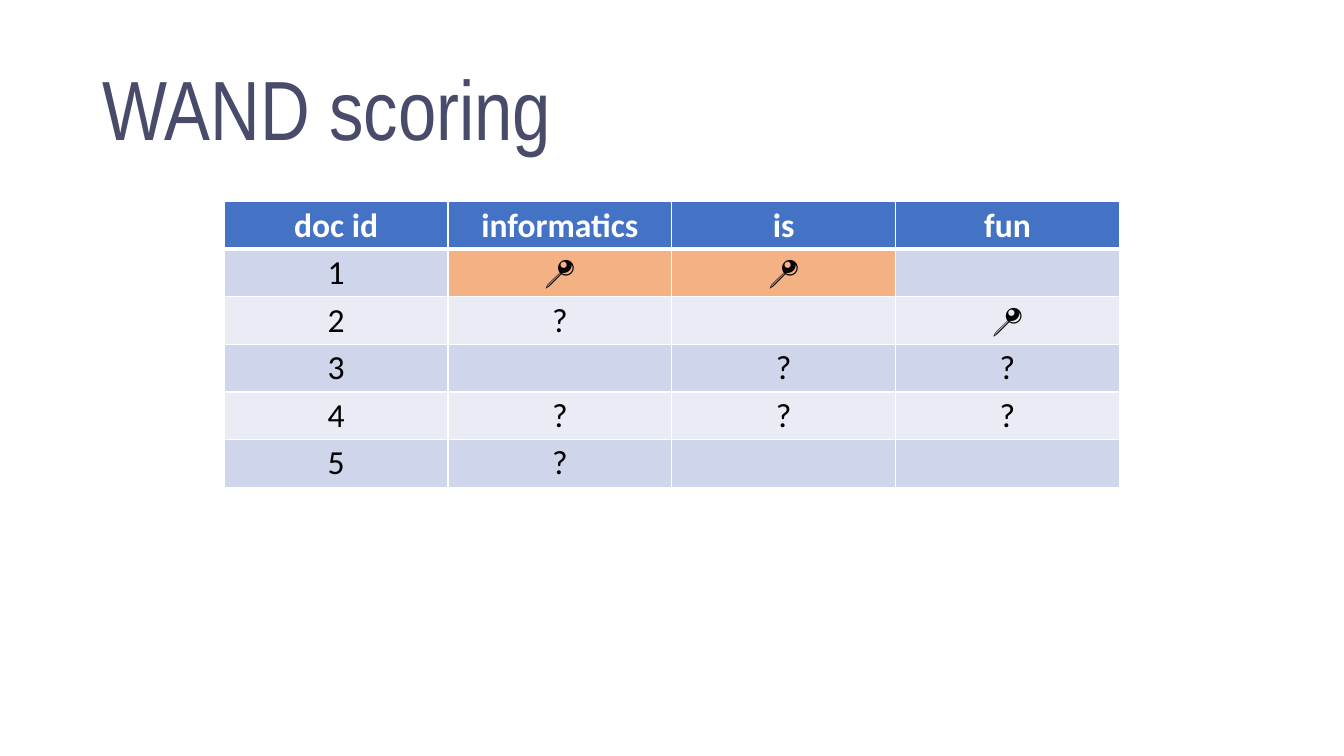
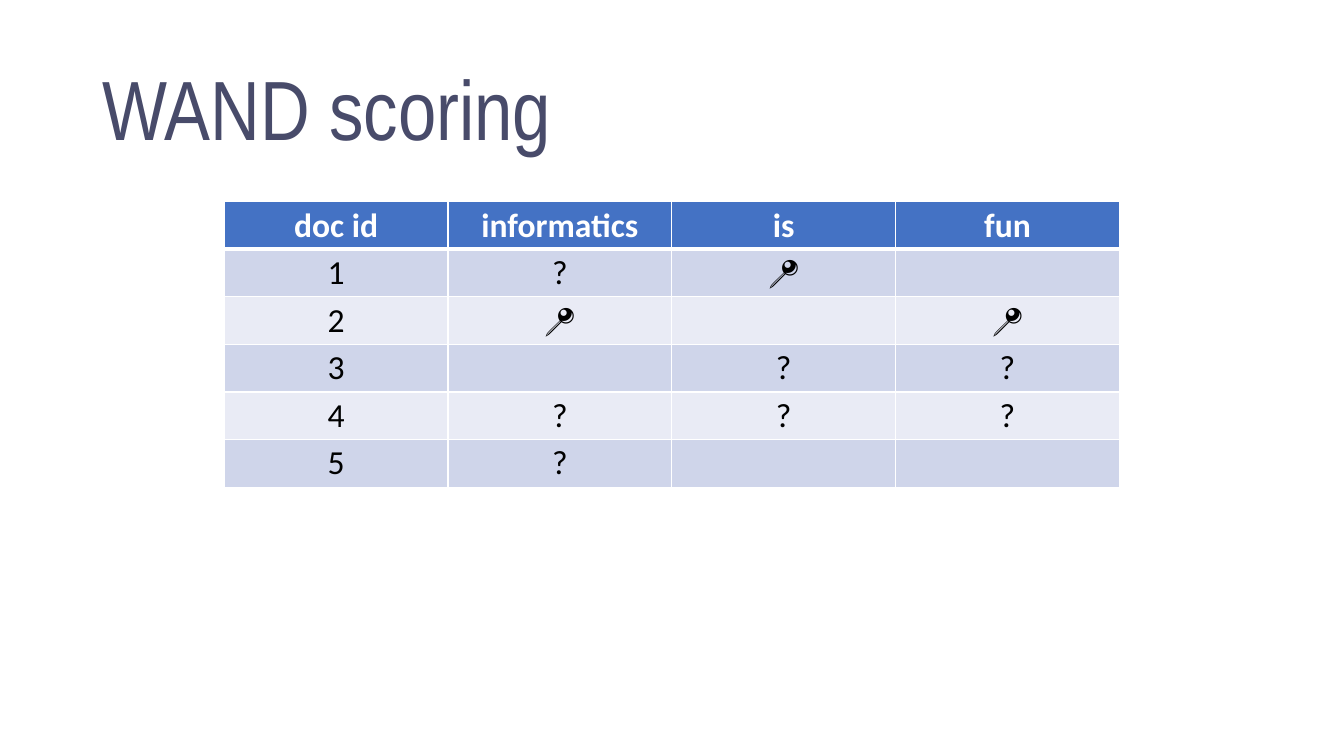
from dataclasses import dataclass

from lxml import etree
from pptx import Presentation
from pptx import util as u
from pptx.dml import color
from pptx.enum import text
from pptx.oxml import ns


@dataclass(frozen=True)
class Theme:
    title_ink: str = "484B6A"
    header_fill: str = "4472C4"
    header_ink: str = "FFFFFF"
    body_ink: str = "000000"
    odd_fill: str = "CFD5EA"
    even_fill: str = "E9EBF5"
    highlight: str = "F4B183"
    grid: str = "FFFFFF"
    grid_width: int = 1
    header_rule: int = 3
    title_font: str = "Arial Narrow"
    table_font: str = "Calibri"
    title_size: int = 60
    table_size: int = 24


THEME = Theme()
TITLE = "WAND scoring"
TERMS = ["doc id", "informatics", "is", "fun"]
COLUMN_WIDTH = 5.64
ROW_HEIGHT = 1.2

SCORED_FIRST = [
    ["1", "📍", "📍", ""],
    ["2", "?", "", "📍"],
]
ADVANCED = [
    ["1", "?", "📍", ""],
    ["2", "📍", "", "📍"],
]
UNSCORED = [
    ["3", "", "?", "?"],
    ["4", "?", "?", "?"],
    ["5", "?", "", ""],
]
STATES = [
    (SCORED_FIRST + UNSCORED, {(1, 1), (1, 2)}),
    (ADVANCED + UNSCORED, set()),
]


def apply_format(target, values):
    for name, value in values.items():
        setattr(target, name, value)


def write(paragraph, words, ink, **font_values):
    run = paragraph.add_run()
    run.text = words
    apply_format(run.font, font_values)
    run.font.color.rgb = color.RGBColor.from_string(ink)


def add_title(slide):
    title = slide.shapes.add_textbox(u.Cm(2.33), u.Cm(1.01), u.Cm(29.21), u.Cm(3.68))
    apply_format(title.text_frame, {
        "word_wrap": True,
        "vertical_anchor": text.MSO_ANCHOR.MIDDLE,
    })
    heading = title.text_frame.paragraphs[0]
    heading.line_spacing = 0.9
    write(heading, TITLE, THEME.title_ink,
          name=THEME.title_font, size=u.Pt(THEME.title_size))


def add_borders(cell, widths):
    properties = cell._tc.get_or_add_tcPr()
    for side, points in widths.items():
        line = etree.SubElement(properties, ns.qn(f"a:ln{side}"), w=str(u.Pt(points)))
        paint = etree.SubElement(line, ns.qn("a:solidFill"))
        etree.SubElement(paint, ns.qn("a:srgbClr"), val=THEME.grid)


def fill_cell(cell, words, row, highlighted):
    is_header = row == 0
    widths = dict.fromkeys("LRTB", THEME.grid_width)
    if row < 2:
        widths["B" if is_header else "T"] = THEME.header_rule
    add_borders(cell, widths)

    if is_header:
        fill = THEME.header_fill
    elif highlighted:
        fill = THEME.highlight
    else:
        fill = THEME.odd_fill if row % 2 else THEME.even_fill
    cell.fill.solid()
    cell.fill.fore_color.rgb = color.RGBColor.from_string(fill)

    apply_format(cell, {
        "vertical_anchor": text.MSO_ANCHOR.MIDDLE,
        "margin_left": u.Cm(0.18),
        "margin_right": u.Cm(0.18),
        "margin_top": u.Cm(0.09),
        "margin_bottom": u.Cm(0.09),
    })
    entry = cell.text_frame.paragraphs[0]
    entry.alignment = text.PP_ALIGN.CENTER
    if words:
        write(entry, words, THEME.header_ink if is_header else THEME.body_ink,
              name=THEME.table_font, size=u.Pt(THEME.table_size), bold=is_header)


def add_scores(slide, postings, highlights):
    rows = [TERMS] + postings
    scores = slide.shapes.add_table(
        len(rows), len(TERMS), u.Cm(5.65), u.Cm(5.08),
        u.Cm(COLUMN_WIDTH * len(TERMS)), u.Cm(ROW_HEIGHT * len(rows)),
    ).table
    for row, entries in enumerate(rows):
        for column, words in enumerate(entries):
            fill_cell(scores.cell(row, column), words, row, (row, column) in highlights)


def main():
    deck = Presentation()
    apply_format(deck, {"slide_width": u.Cm(33.87), "slide_height": u.Cm(19.05)})
    for postings, highlights in STATES:
        slide = deck.slides.add_slide(deck.slide_layouts[6])
        add_title(slide)
        add_scores(slide, postings, highlights)
    deck.save("out.pptx")


if __name__ == "__main__":
    main()
